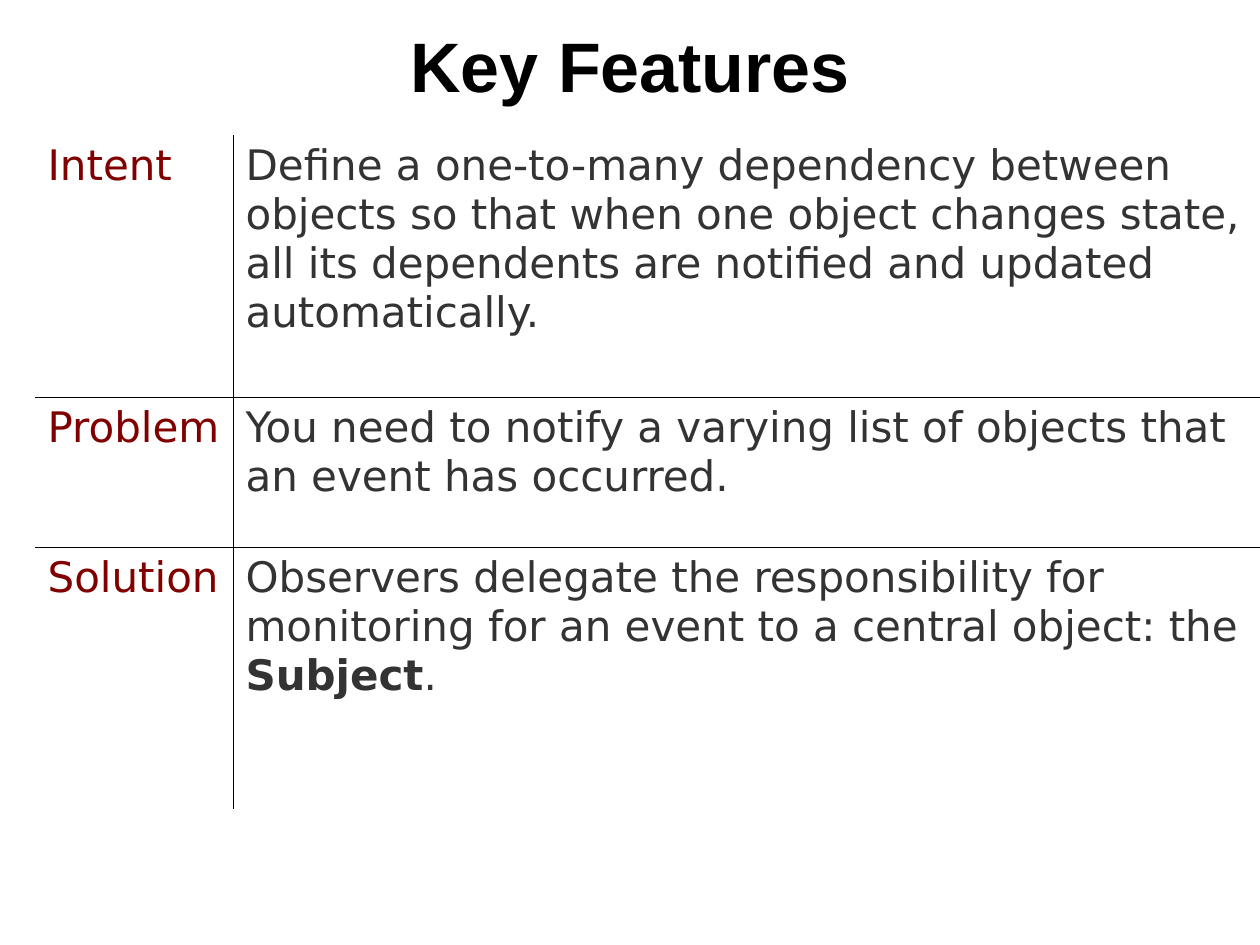
from lxml.etree import SubElement
from pptx import Presentation
from pptx.dml.color import RGBColor
from pptx.enum.text import MSO_ANCHOR as Anchor, PP_ALIGN as Align
from pptx.oxml.ns import qn
from pptx.util import Emu, Pt

PX = 914400 / 126
BLACK, MAROON, GRAY = "000000", "800000", "333333"
COLUMNS = [198, 1036]
ROWS = [262, 150, 262]
FEATURES = [
    ("Intent", [("Define a one-to-many dependency between objects so that when one object "
                 "changes state, all its dependents are notified and updated automatically.", False)]),
    ("Problem", [("You need to notify a varying list of objects that an event has occurred.", False)]),
    ("Solution", [("Observers delegate the responsibility for monitoring for an event "
                   "to a central object: the ", False), ("Subject", True), (".", False)]),
]


def px(length):
    return Emu(round(length * PX))


def color(value):
    return RGBColor.from_string(value)


def write(frame, runs, font="DejaVu Sans", size=24, fill=GRAY, align=Align.LEFT):
    frame.word_wrap = True
    paragraph = frame.paragraphs[0]
    paragraph.alignment = align
    for text, bold in runs:
        run = paragraph.add_run()
        run.text = text
        run.font.name = font
        run.font.size = Pt(size)
        run.font.bold = bold
        run.font.color.rgb = color(fill)


def add_title(slide, text):
    shape = slide.shapes.add_textbox(px(63), px(16), px(1134), px(97))
    shape.text_frame.vertical_anchor = Anchor.MIDDLE
    write(shape.text_frame, [(text, True)], font="Arial", size=40, fill=BLACK, align=Align.CENTER)


def set_borders(cell, visible):
    properties = cell._tc.get_or_add_tcPr()
    for side in "LRTB":
        line = SubElement(properties, qn(f"a:ln{side}"), w=str(Pt(0.45)))
        if side in visible:
            SubElement(SubElement(line, qn("a:solidFill")), qn("a:srgbClr"), val=BLACK)
        else:
            SubElement(line, qn("a:noFill"))


def inner_sides(row, column):
    sides = "R" if column == 0 else "L"
    if row > 0:
        sides += "T"
    if row < len(ROWS) - 1:
        sides += "B"
    return sides


def add_features(slide):
    frame = slide.shapes.add_table(len(ROWS), len(COLUMNS), px(35), px(135),
                                   px(sum(COLUMNS)), px(sum(ROWS)))
    table = frame.table
    table.first_row = False
    table.horz_banding = False
    for column, width in zip(table.columns, COLUMNS):
        column.width = px(width)
    for row, height in zip(table.rows, ROWS):
        row.height = px(height)
    for row, (label, description) in enumerate(FEATURES):
        for column, (runs, fill) in enumerate([([(label, False)], MAROON), (description, GRAY)]):
            cell = table.cell(row, column)
            set_borders(cell, inner_sides(row, column))
            cell.fill.background()
            write(cell.text_frame, runs, fill=fill)


def main():
    presentation = Presentation()
    presentation.slide_width = px(1260)
    presentation.slide_height = px(945)
    slide = presentation.slides.add_slide(presentation.slide_layouts[6])
    add_title(slide, "Key Features")
    add_features(slide)
    presentation.save("out.pptx")


if __name__ == "__main__":
    main()
